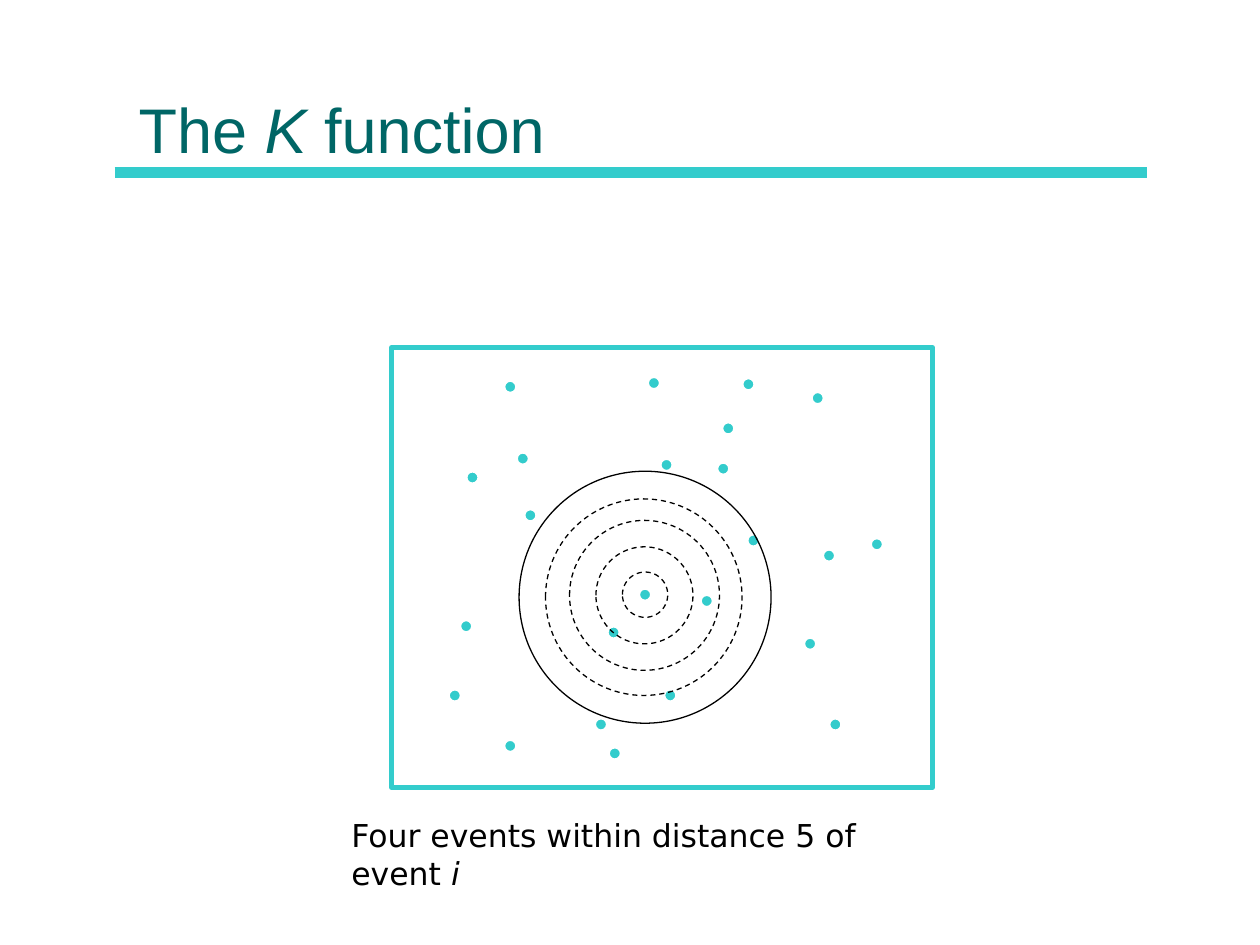
from dataclasses import dataclass
from lxml.etree import SubElement
from pptx import Presentation
from pptx.dml.color import RGBColor
from pptx.enum.dml import MSO_LINE
from pptx.enum.shapes import MSO_CONNECTOR, MSO_SHAPE
from pptx.enum.text import MSO_ANCHOR, MSO_AUTO_SIZE, PP_ALIGN
from pptx.oxml.ns import qn
from pptx.util import Inches, Pt


@dataclass(frozen=True)
class Theme:
    teal: str = "33CCCC"
    deep: str = "006666"
    ink: str = "000000"
    paper: str = "FFFFFF"
    head: int = 36
    body: int = 18
    sans: str = "Arial"
    plain: str = "DejaVu Sans"


def color(code):
    return RGBColor.from_string(code)


class Canvas:
    cols, rows = 100, 75

    def __init__(self, deck, theme):
        self.deck, self.theme = deck, theme
        self.slide = deck.slides.add_slide(deck.slide_layouts[5])
        self.shapes = self.slide.shapes

    def x(self, col):
        return round(self.deck.slide_width * col / self.cols)

    def y(self, row):
        return round(self.deck.slide_height * row / self.rows)

    def box(self, left, top, wide, high):
        return self.x(left), self.y(top), self.x(wide), self.y(high)

    def fill_text(self, frame, runs, font, size, ink):
        frame.word_wrap = True
        para = frame.paragraphs[0]
        para.alignment = PP_ALIGN.LEFT
        for text, slant in runs:
            run = para.add_run()
            run.text = text
            run.font.name, run.font.size = font, Pt(size)
            run.font.italic = slant
            run.font.color.rgb = color(ink)

    def title(self, place, runs):
        head = self.shapes.title
        head.left, head.top, head.width, head.height = self.box(*place)
        frame = head.text_frame
        frame.auto_size = MSO_AUTO_SIZE.NONE
        frame.vertical_anchor = MSO_ANCHOR.BOTTOM
        self.fill_text(frame, runs, self.theme.sans, self.theme.head, self.theme.deep)

    def text(self, place, runs):
        frame = self.shapes.add_textbox(*self.box(*place)).text_frame
        frame.auto_size = MSO_AUTO_SIZE.SHAPE_TO_FIT_TEXT
        self.fill_text(frame, runs, self.theme.plain, self.theme.body, self.theme.ink)

    def rule(self, left, right, row, width):
        line = self.shapes.add_connector(
            MSO_CONNECTOR.STRAIGHT, self.x(left), self.y(row), self.x(right), self.y(row))
        line.line.color.rgb = color(self.theme.teal)
        line.line.width = Pt(width)
        SubElement(line._element.spPr, qn("a:effectLst"))

    def shape(self, kind, place, edge, width, fill=None, dash=None, home=None):
        item = (home or self.shapes).add_shape(kind, *self.box(*place))
        item.shadow.inherit = False
        if fill:
            item.fill.solid()
            item.fill.fore_color.rgb = color(fill)
        else:
            item.fill.background()
        item.line.color.rgb = color(edge)
        item.line.width = Pt(width)
        if dash:
            item.line.dash_style = dash

    def frame(self, place):
        self.shape(MSO_SHAPE.RECTANGLE, place, self.theme.teal, 3)

    def dot(self, left, top):
        self.shape(MSO_SHAPE.OVAL, (left, top, 1, 1), self.theme.paper, 1.5, self.theme.teal)

    def rings(self, sizes):
        home = self.shapes.add_group_shape().shapes
        for turn, (left, top, size) in enumerate(sizes):
            dash = MSO_LINE.DASH if turn else None
            self.shape(MSO_SHAPE.OVAL, (left, top, size, size),
                       self.theme.ink, 0.75, dash=dash, home=home)


EVENTS = [
    (48.3, 59.3), (51.4, 29.9), (40, 30.2), (69.1, 42.7), (47.2, 57),
    (64.4, 31.1), (41.6, 40.4), (48.2, 49.7), (56.9, 36.7), (36.5, 49.2),
    (41, 35.9), (35.6, 54.7), (55.6, 47.2), (58.9, 30), (52.4, 36.4),
    (37, 37.4), (57.3, 33.5), (65.3, 43.6), (65.8, 57), (52.7, 54.7),
    (40, 58.7), (50.7, 46.7), (63.8, 50.6), (59.3, 42.4),
]
RINGS = [
    (41.2, 37.4, 20), (43.3, 39.6, 15.6), (45.2, 41.3, 11.9),
    (47.3, 43.4, 7.7), (49.4, 45.4, 3.6),
]


def main():
    deck = Presentation()
    deck.slide_width, deck.slide_height = Inches(10), Inches(7.5)
    page = Canvas(deck, Theme())
    page.rule(9.1, 91, 13.7, 6)
    page.title((10, 1.2, 80, 12.5), [("The ", False), ("K", True), (" function", False)])
    page.frame((31.1, 27.6, 42.9, 34.9))
    for left, top in EVENTS:
        page.dot(left, top)
    page.rings(RINGS)
    page.text((26.9, 64.3, 47.7, 4),
              [("Four events within distance 5 of event ", False), ("i", True)])
    deck.save("out.pptx")


if __name__ == "__main__":
    main()
